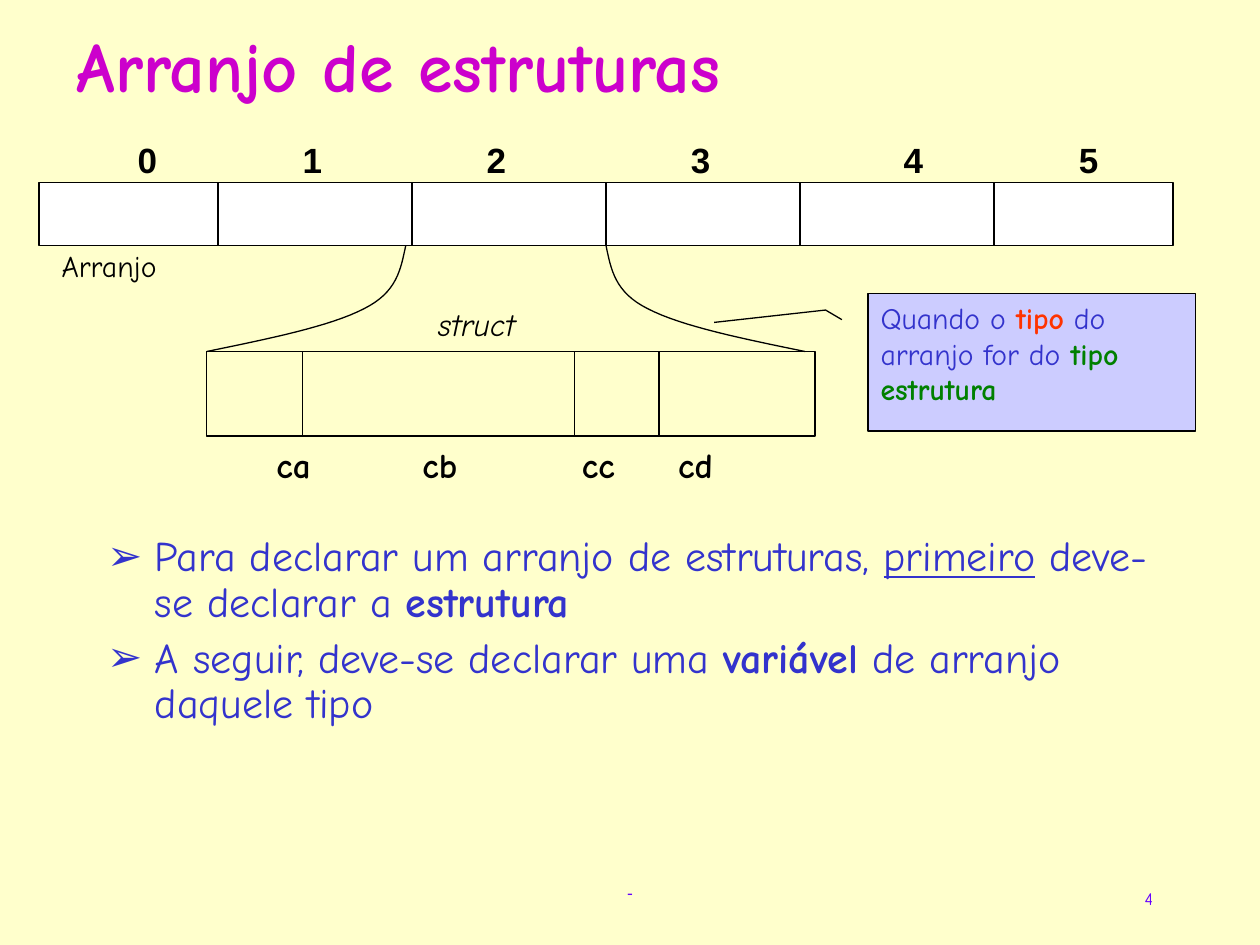
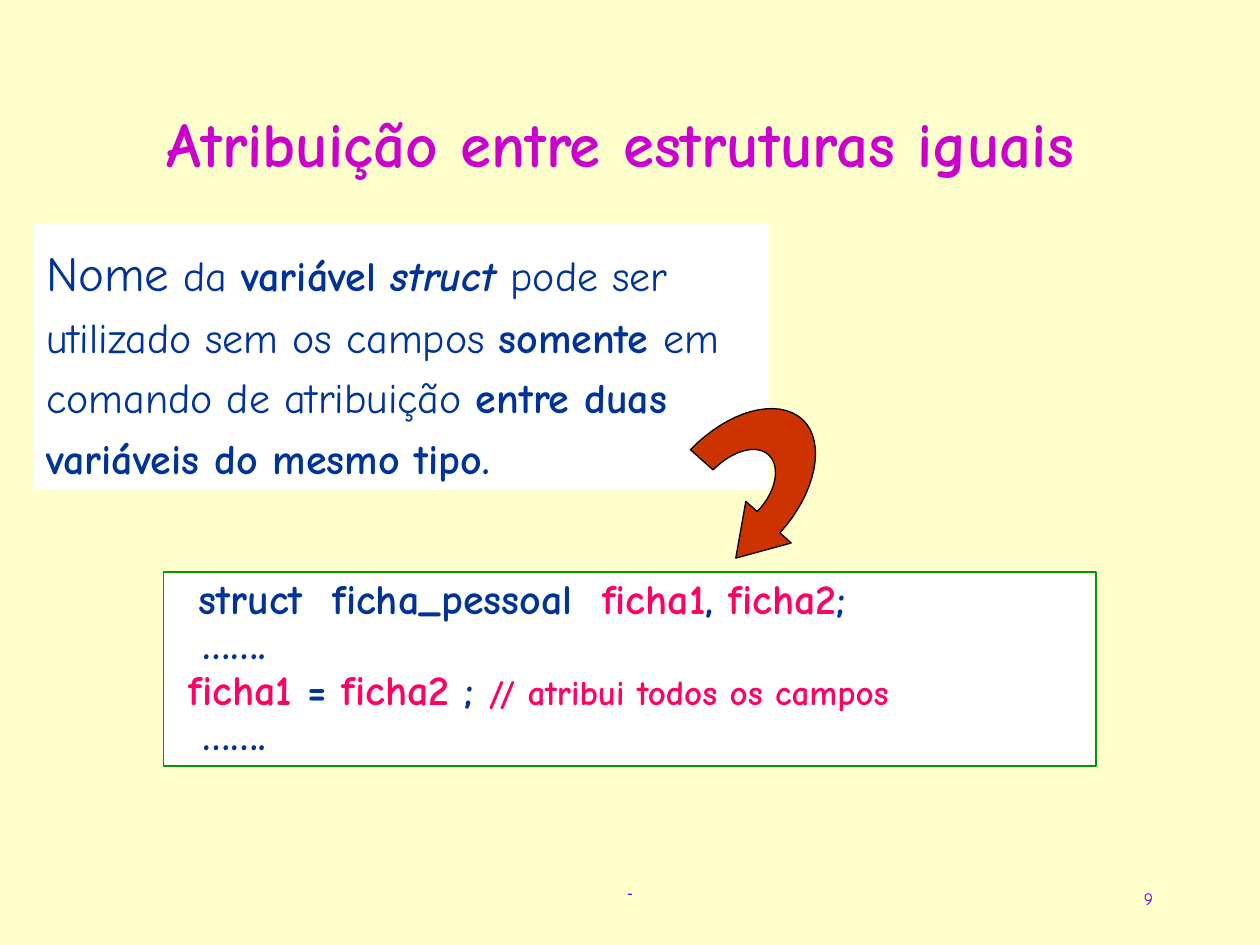
import dataclasses
from typing import Optional, Sequence

import lxml.etree
import pptx
import pptx.dml.color
import pptx.enum.shapes
import pptx.enum.text
import pptx.oxml.ns
import pptx.util

Inches = pptx.util.Inches
ALIGN = pptx.enum.text.PP_ALIGN
ANCHOR = pptx.enum.text.MSO_ANCHOR
PRESET = pptx.enum.shapes.MSO_SHAPE
Point = tuple[float, float]

COMIC, ARIAL = "Comic Neue", "Arial"
CREAM, WHITE, BLACK = "FFFFCC", "FFFFFF", "000000"
MAGENTA, VIOLET, BLUE, NAVY, PINK = "CC00CC", "6600FF", "3333CC", "003399", "FF0066"
LAVENDER, GREEN, DARK_GREEN, RED, BRICK = "CCCCFF", "009900", "008000", "FF3300", "CC3300"


@dataclasses.dataclass(frozen=True)
class Box:
    """Position and size in inches."""
    left: float
    top: float
    width: float
    height: float

    def lengths(self) -> list[int]:
        """Return the four values as lengths."""
        return [Inches(value) for value in dataclasses.astuple(self)]


@dataclasses.dataclass(frozen=True)
class Span:
    """A stretch of text in one format."""
    text: str
    size: float
    color: str
    bold: bool = False
    italic: bool = False
    underline: bool = False
    font: str = COMIC


@dataclasses.dataclass(frozen=True)
class Line:
    """A paragraph with its spacing and layout."""
    spans: Sequence[Span]
    align: ALIGN = ALIGN.LEFT
    spacing: float = 1.0
    before: float = 0
    margin: float = 0
    bullet: Optional[str] = None


@dataclasses.dataclass(frozen=True)
class Label:
    """A centred caption at a horizontal position."""
    text: str
    center: float


INDEX_LABELS = [Label(str(index), center)
                for index, center in enumerate((1.17, 2.48, 3.94, 5.56, 7.25, 8.64))]
FIELD_LABELS = [Label("ca", 2.33), Label("cb", 3.49), Label("cc", 4.75), Label("cd", 5.52)]
ARRAY_BOX = Box(0.31, 1.45, 9, 0.5)
STRUCT_BOX = Box(1.64, 2.79, 4.83, 0.67)
CELL_DIVIDERS = [1.73 + 1.54 * index for index in range(5)]
FIELD_DIVIDERS = [2.4, 4.56, 5.23]
ZOOM_CURVE = [[(0, 0), (0.04, 0.19), (0.07, 0.37), (0.33, 0.5)],
              [(0.33, 0.5), (0.6, 0.64), (1.09, 0.74), (1.58, 0.84)]]
ARROW_INNER = [[(6.01, 4.06), (6.16, 3.91), (6.2, 3.7), (6.1, 3.61)],
               [(6.1, 3.61), (6, 3.52), (5.81, 3.58), (5.66, 3.73)]]
ARROW_OUTER = [[(5.48, 3.57), (5.78, 3.26), (6.17, 3.15), (6.37, 3.33)],
               [(6.37, 3.33), (6.56, 3.51), (6.48, 3.91), (6.19, 4.23)]]
ARROW_HEAD = [(6.28, 4.31), (5.84, 4.43), (5.92, 3.98)]


def rgb(color: str) -> pptx.dml.color.RGBColor:
    """Turn a hex string into a colour."""
    return pptx.dml.color.RGBColor.from_string(color)


def add_bullet(paragraph, character: str, color: str) -> None:
    """Give a paragraph a coloured bullet character."""
    properties = paragraph._p.get_or_add_pPr()
    bullet_color = lxml.etree.SubElement(properties, pptx.oxml.ns.qn("a:buClr"))
    lxml.etree.SubElement(bullet_color, pptx.oxml.ns.qn("a:srgbClr"), val=color)
    lxml.etree.SubElement(properties, pptx.oxml.ns.qn("a:buChar"), char=character)


def write(shape, lines: Sequence[Line], anchor: ANCHOR = ANCHOR.TOP) -> None:
    """Fill a shape with formatted paragraphs."""
    frame = shape.text_frame
    frame.word_wrap = True
    frame.auto_size = pptx.enum.text.MSO_AUTO_SIZE.NONE
    frame.vertical_anchor = anchor
    for index, line in enumerate(lines):
        paragraph = frame.add_paragraph() if index else frame.paragraphs[0]
        paragraph.alignment = line.align
        paragraph.line_spacing = line.spacing
        paragraph.space_before = pptx.util.Pt(line.before)
        properties = paragraph._p.get_or_add_pPr()
        properties.set("marL", str(Inches(line.margin)))
        properties.set("indent", str(Inches(-line.margin if line.bullet else 0)))
        if line.bullet:
            add_bullet(paragraph, line.bullet, line.spans[0].color)
        for span in line.spans:
            run = paragraph.add_run()
            run.text = span.text
            run.font.name = span.font
            run.font.size = pptx.util.Pt(span.size)
            run.font.color.rgb = rgb(span.color)
            run.font.bold = span.bold
            run.font.italic = span.italic
            run.font.underline = span.underline


def place(shape, box: Box) -> None:
    """Move and size a placeholder."""
    shape.left, shape.top, shape.width, shape.height = box.lengths()


def add_text(slide, box: Box, span: Span, align: ALIGN = ALIGN.LEFT) -> None:
    """Add a one-line text box."""
    write(slide.shapes.add_textbox(*box.lengths()), [Line([span], align)])


def add_labels(slide, labels: Sequence[Label], top: float, font: str) -> None:
    """Add a row of bold centred captions."""
    for label in labels:
        add_text(slide, Box(label.center - 0.35, top, 0.7, 0.44),
                 Span(label.text, 20, BLACK, bold=True, font=font), ALIGN.CENTER)


def paint(shape, fill: Optional[str], line: Optional[str]) -> None:
    """Set fill and outline without a shadow."""
    shape.shadow.inherit = False
    if fill:
        shape.fill.solid()
        shape.fill.fore_color.rgb = rgb(fill)
    else:
        shape.fill.background()
    if line:
        shape.line.color.rgb = rgb(line)
        shape.line.width = pptx.util.Pt(0.75)
    else:
        shape.line.fill.background()


def add_panel(slide, box: Box, fill: str, line: Optional[str], preset: PRESET = PRESET.RECTANGLE):
    """Add a painted preset shape."""
    shape = slide.shapes.add_shape(preset, *box.lengths())
    paint(shape, fill, line)
    return shape


def add_divided_bar(slide, box: Box, fill: str, dividers: Sequence[float]) -> None:
    """Add a rectangle split by vertical lines."""
    bar = add_panel(slide, box, fill, BLACK)
    for position in dividers:
        divider = slide.shapes.add_connector(
            pptx.enum.shapes.MSO_CONNECTOR.STRAIGHT, Inches(position), Inches(box.top),
            Inches(position), Inches(box.top + box.height))
        if abs(position - box.left - box.width / 2) < 0.01:
            divider.begin_connect(bar, 0)
            divider.end_connect(bar, 2)
        divider.line.color.rgb = rgb(BLACK)
        divider.line.width = pptx.util.Pt(0.75)
        lxml.etree.SubElement(divider._element.spPr, pptx.oxml.ns.qn("a:effectLst"))


def trace(curves: Sequence[Sequence[Point]], steps: int = 16) -> list[Point]:
    """Return points along joined cubic curves."""
    points = [curves[0][0]]
    for curve in curves:
        for step in range(1, steps + 1):
            t = step / steps
            weights = ((1 - t) ** 3, 3 * t * (1 - t) ** 2, 3 * t * t * (1 - t), t ** 3)
            points.append((sum(w * x for w, (x, _) in zip(weights, curve)),
                           sum(w * y for w, (_, y) in zip(weights, curve))))
    return points


def add_outline(slide, points: Sequence[Point], fill: Optional[str] = None) -> None:
    """Add a freeform, closed when it has a fill."""
    vertices = [(Inches(x), Inches(y)) for x, y in points]
    builder = slide.shapes.build_freeform(*vertices[0])
    builder.add_line_segments(vertices[1:], close=fill is not None)
    paint(builder.convert_to_shape(), fill, BLACK)


def add_slide(presentation, layout: int, number: int, title: Line, title_box: Box):
    """Add a slide with its title and footer."""
    slide = presentation.slides.add_slide(presentation.slide_layouts[layout])
    place(slide.shapes.title, title_box)
    write(slide.shapes.title, [title], ANCHOR.MIDDLE)
    add_text(slide, Box(4.75, 6.95, 0.5, 0.27), Span("-", 10, VIOLET, font=ARIAL), ALIGN.CENTER)
    add_text(slide, Box(7.17, 7, 2.08, 0.33), Span(str(number), 10, VIOLET), ALIGN.RIGHT)
    return slide


def build_array_slide(presentation) -> None:
    """Build the slide on arrays of structures."""
    title = Line([Span("Arranjo de estruturas", 40, MAGENTA, bold=True)])
    slide = add_slide(presentation, 1, 4, title, Box(0.51, 0.13, 6.5, 0.77))
    add_divided_bar(slide, ARRAY_BOX, WHITE, CELL_DIVIDERS)
    add_divided_bar(slide, STRUCT_BOX, CREAM, FIELD_DIVIDERS)
    for start, direction in ((3.22, -1), (4.81, 1)):
        add_outline(slide, [(start + direction * x, 1.95 + y) for x, y in trace(ZOOM_CURVE)])
    add_labels(slide, INDEX_LABELS, 1.05, ARIAL)
    add_labels(slide, FIELD_LABELS, 3.47, COMIC)
    add_text(slide, Box(3.38, 2.37, 1, 0.4), Span("struct", 18, BLACK, italic=True))
    add_text(slide, Box(0.39, 1.92, 1.2, 0.39), Span("Arranjo", 17, BLACK))

    callout = add_panel(slide, Box(6.89, 2.33, 2.6, 1.09), LAVENDER, BLACK, PRESET.LINE_CALLOUT_2)
    for index, value in enumerate((0.19, -0.08, 0.12, -0.13, 0.21, -0.47)):
        callout.adjustments[index] = value
    write(callout, [Line([
        Span("Quando o ", 17, BLUE), Span("tipo", 17, RED, bold=True),
        Span(" do arranjo for do ", 17, BLUE),
        Span("tipo estrutura", 17, DARK_GREEN, bold=True)])])

    body = slide.placeholders[1]
    place(body, Box(0.75, 4.2, 8.5, 2.17))
    steps = [
        [Span("Para declarar um arranjo de estruturas, ", 24, BLUE),
         Span("primeiro", 24, BLUE, underline=True),
         Span(" deve-se declarar a ", 24, BLUE), Span("estrutura", 24, BLUE, bold=True)],
        [Span("A seguir, deve-se declarar uma ", 24, BLUE), Span("variável", 24, BLUE, bold=True),
         Span(" de arranjo daquele tipo", 24, BLUE)],
    ]
    write(body, [Line(spans, spacing=0.9, before=6, margin=0.38, bullet="➢") for spans in steps])


def build_assignment_slide(presentation) -> None:
    """Build the slide on assignment between structures."""
    title = Line([Span("Atribuição entre estruturas iguais", 36, MAGENTA, bold=True)],
                 ALIGN.CENTER, 0.9)
    slide = add_slide(presentation, 5, 9, title, Box(0.75, 0.6, 8.35, 1.13))
    rule = add_panel(slide, Box(0.27, 1.78, 5.83, 2.1), WHITE, None)
    write(rule, [Line([
        Span("Nome", 28, NAVY), Span(" da ", 24, NAVY), Span("variável ", 24, NAVY, bold=True),
        Span("struct ", 24, NAVY, bold=True, italic=True),
        Span("pode ser utilizado sem os campos ", 24, NAVY),
        Span("somente ", 24, NAVY, bold=True), Span("em comando de atribuição ", 24, NAVY),
        Span("entre duas variáveis do mesmo tipo.", 24, NAVY, bold=True)], spacing=1.2)])

    def code(text: str, color: str = NAVY, size: float = 24) -> Span:
        """Return a bold stretch of code."""
        return Span(text, size, color, bold=True)

    first, second = code("ficha1", PINK), code("ficha2", PINK)
    dots = Line([code("…….")], spacing=0.9, margin=0.21)
    listing = add_panel(slide, Box(1.3, 4.54, 7.4, 1.54), WHITE, GREEN)
    write(listing, [
        Line([code("struct  ficha_pessoal  "), first, code(", "), second, code(";")],
             spacing=0.9, margin=0.18),
        dots,
        Line([first, code(" = "), second, code(" ; "),
              code("// atribui todos os campos", PINK, 20)], spacing=0.9, margin=0.1),
        dots])
    add_outline(slide, trace(ARROW_INNER) + trace(ARROW_OUTER) + ARROW_HEAD, BRICK)


def main() -> None:
    """Build and save the presentation."""
    presentation = pptx.Presentation()
    presentation.slide_width, presentation.slide_height = Inches(10), Inches(7.5)
    background = presentation.slide_master.background.fill
    background.solid()
    background.fore_color.rgb = rgb(CREAM)
    build_array_slide(presentation)
    build_assignment_slide(presentation)
    presentation.save("out.pptx")


if __name__ == "__main__":
    main()
